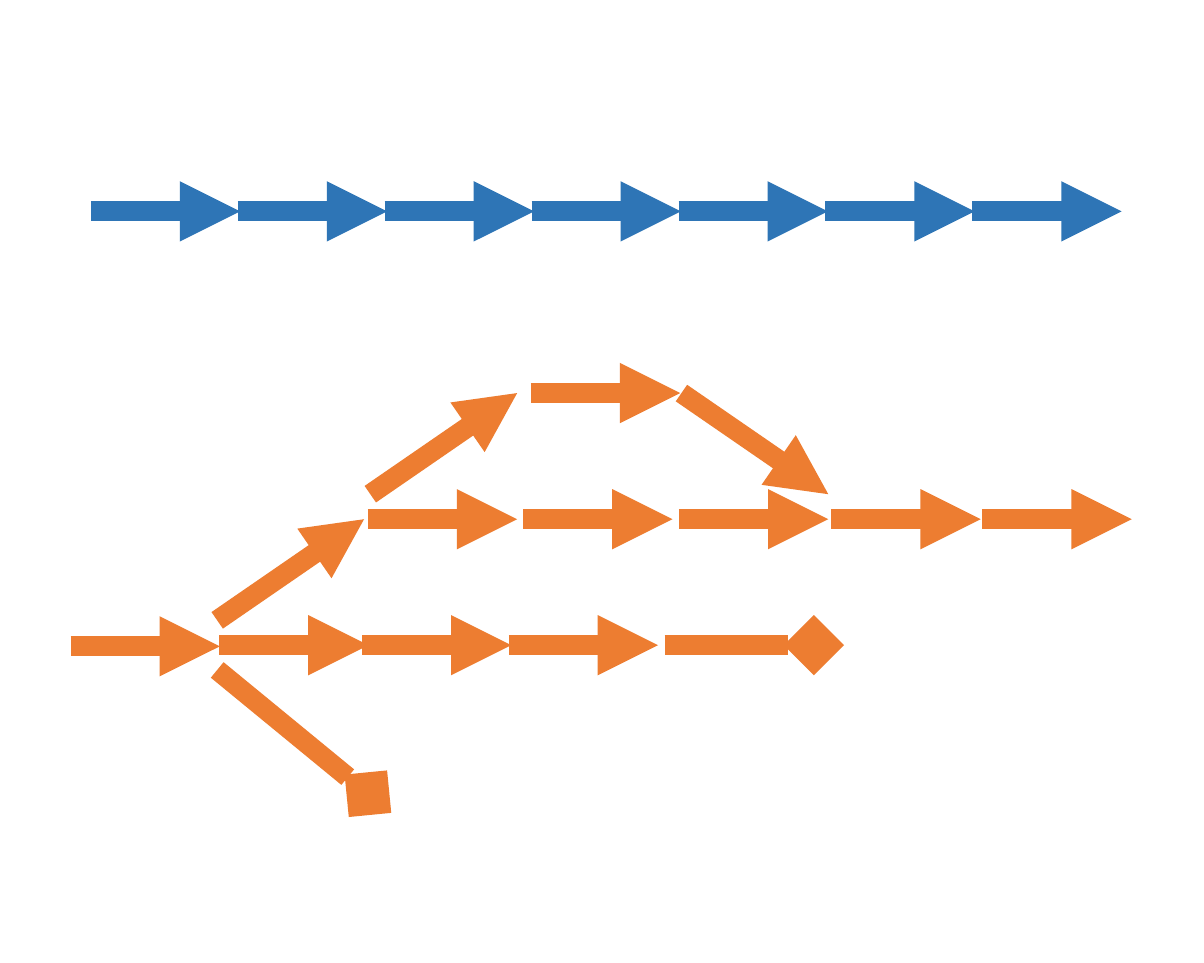
"""Build a slide with a straight chain of arrows above a branching one."""
from lxml.etree import SubElement
from pptx import Presentation
from pptx.dml.color import RGBColor
from pptx.enum.shapes import MSO_CONNECTOR
from pptx.oxml.ns import qn
from pptx.util import Inches, Pt

COLUMNS, ROWS = 50, 40
BLUE, ORANGE = "2E75B6", "ED7D31"
STEP, LENGTH = 6.1, 6.2


def color(value):
    return RGBColor.from_string(value)


class Diagram:
    def __init__(self, prs, weight):
        self.s = prs.slides.add_slide(prs.slide_layouts[6])
        self.column = prs.slide_width / COLUMNS
        self.row = prs.slide_height / ROWS
        self.weight = Pt(weight)

    def background(self, fill):
        bg = self.s.background.fill
        bg.solid()
        bg.fore_color.rgb = color(fill)

    def arrow(self, x1, y1, x2, y2, fill, end="triangle"):
        xs = [round(x * self.column) for x in (x1, x2)]
        ys = [round(y * self.row) for y in (y1, y2)]
        sp = self.s.shapes.add_connector(
            MSO_CONNECTOR.STRAIGHT, xs[0], ys[0], xs[1], ys[1])
        sp.line.color.rgb = color(fill)
        sp.line.width = self.weight
        SubElement(sp.line._get_or_add_ln(), qn("a:tailEnd"), type=end)
        SubElement(sp._element.spPr, qn("a:effectLst"))

    def level(self, starts, y, fill, end="triangle"):
        for x in starts:
            self.arrow(x, y, x + LENGTH, y, fill, end)


prs = Presentation()
prs.slide_width, prs.slide_height = Inches(5), Inches(4)
diagram = Diagram(prs, weight=6)
diagram.background("FFFFFF")

diagram.level([3.78 + i * STEP for i in range(7)], 8.78, BLUE)

TOP, MIDDLE, BOTTOM = 16.33, 21.57, 26.8
RISE = 4.2
diagram.level([2.93], BOTTOM + 0.05, ORANGE)
diagram.level([9.1, 15.04, 21.13], BOTTOM, ORANGE)
diagram.level([27.6], BOTTOM, ORANGE, "diamond")
diagram.level([15.28, 21.73, 28.2, 34.53, 40.8], MIDDLE, ORANGE)
diagram.level([22.05], TOP, ORANGE)

for x, start, end in [
    (9.02, MIDDLE + RISE, MIDDLE),
    (15.38, TOP + RISE, TOP),
    (28.3, TOP, TOP + RISE),
]:
    diagram.arrow(x, start, x + STEP, end, ORANGE)
diagram.arrow(9.02, 27.83, 15.28, 32.97, ORANGE, "diamond")

prs.save("out.pptx")
